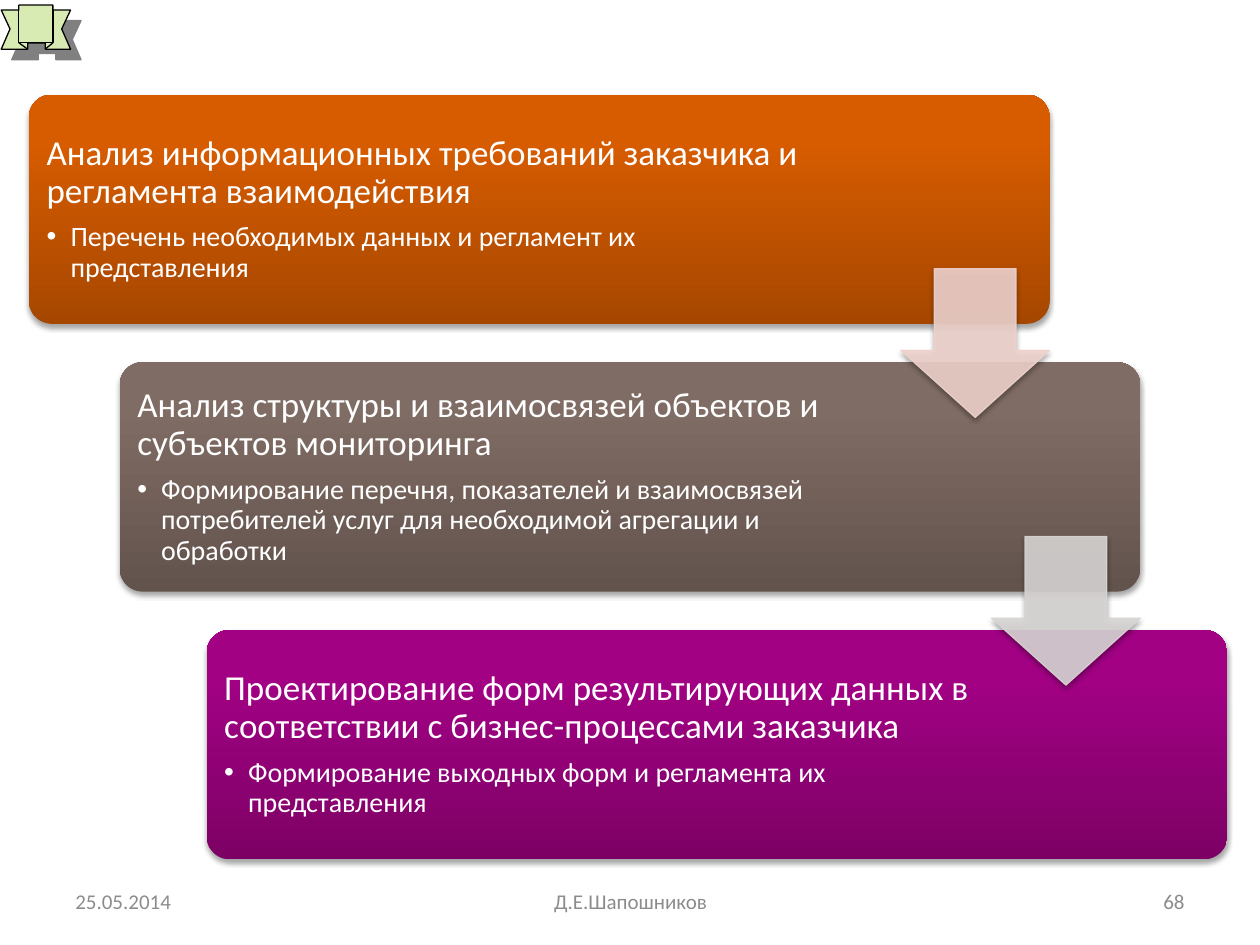
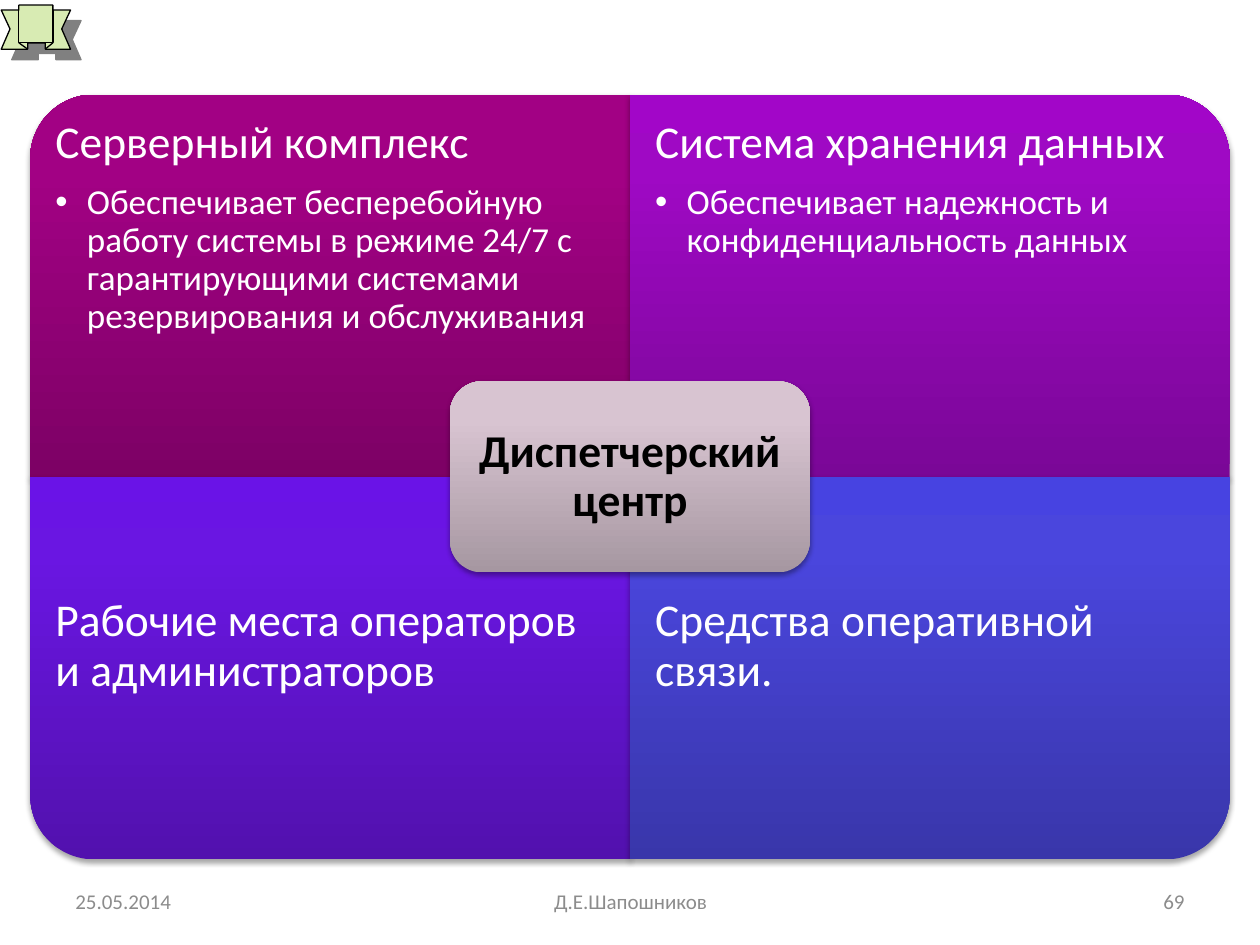
from lxml import etree
from pptx import Presentation
from pptx import util as u
from pptx.dml.color import RGBColor
from pptx.enum import shapes, text
from pptx.oxml.ns import qn

# ---- Content ----
DATE, AUTHOR, FIRST_NUMBER = "25.05.2014", "Д.Е.Шапошников", 68

STEPS = [  # left, heading, bullet, gradient
    (0.23, "Анализ информационных требований заказчика и регламента взаимодействия",
     "Перечень необходимых данных и регламент их представления", "orange"),
    (0.95, "Анализ структуры и взаимосвязей объектов и субъектов мониторинга",
     "Формирование перечня, показателей и взаимосвязей потребителей услуг "
     "для необходимой агрегации и обработки", "brown"),
    (1.64, "Проектирование форм результирующих данных в соответствии с "
     "бизнес-процессами заказчика",
     "Формирование выходных форм и регламента их представления", "magenta"),
]
STEP_ARROWS = ["arrow_pink", "arrow_grey"]

QUADRANTS = [  # column, row, rotation, gradient, heading, bullet
    (0, 0, 270, "magenta", "Серверный комплекс",
     "Обеспечивает бесперебойную работу системы в режиме 24/7 с "
     "гарантирующими системами резервирования и обслуживания"),
    (1, 0, 0, "purple", "Система хранения данных",
     "Обеспечивает надежность и конфиденциальность данных"),
    (0, 1, 180, "violet", "Рабочие места операторов и администраторов", None),
    (1, 1, 90, "blue", "Средства оперативной связи.", None),
]
HUB = "Диспетчерский центр"

# ---- Shared style ----
FONT = "Calibri"
COLORS = {"white": "FFFFFF", "black": "000000", "footer": "8C8C8C",
          "ribbon": "D8EBB3", "ribbon_shadow": "808080",
          "arrow_pink": "EED2CC", "arrow_grey": "D8D5D4"}
GRADIENTS = {  # bottom, near the top, top
    "orange": ("A64700", "D75C00", "D85D00"),
    "brown": ("62534D", "7F6C64", "806D63"),
    "magenta": ("7D0165", "A20184", "A40085"),
    "purple": ("7A0797", "9F09C4", "A206C8"),
    "violet": ("5211AE", "6A16E2", "6A13E7"),
    "blue": ("3936AA", "4A46DD", "4743E1"),
    "hub": ("A697A1", "D8C4D1", "D9C4D2"),
}
STOPS = (0, 80, 100)

# ---- Grid, in inches ----
WIDTH, HEIGHT = 10, 7.5
LEFT, TOP, AREA_WIDTH, AREA_HEIGHT = 0.24, 0.75, 9.52, 6.07
CARD_WIDTH, CARD_HEIGHT, CARD_INSET, CARD_TEXT_WIDTH = 8.1, 1.82, 0.06, 6.14
ARROW = 1.18
FOOTER_TOP, FOOTER_HEIGHT = 6.95, 0.4

# Corner ribbon, in hundredths of an inch
RIBBON = [(1, 39), (22, 39), (22, 34), (36, 34), (36, 39), (56, 39), (49, 23),
          (56, 8), (42, 8), (42, 4), (15, 4), (15, 8), (1, 8), (8, 23)]
RIBBON_FOLDS = [[(22, 34), (15, 34), (15, 8)], [(15, 34), (22, 39)],
                [(36, 34), (42, 34), (42, 8)], [(42, 34), (36, 39)]]


def rgb(name):
    return RGBColor.from_string(COLORS[name])


def add_child(parent, tag, **attributes):
    child = etree.SubElement(parent, qn(tag))
    for key, value in attributes.items():
        child.set(key, str(value))
    return child


def set_shadow(shape, color="black", alpha=35, blur=3.1, distance=1.8, angle=90):
    shape.shadow.inherit = False
    effects = shape._element.spPr.find(qn("a:effectLst"))
    outer = add_child(effects, "a:outerShdw", blurRad=u.Pt(blur), dist=u.Pt(distance),
                      dir=angle * 60000, algn="ctr", rotWithShape=0)
    tint = add_child(outer, "a:srgbClr", val=COLORS[color])
    add_child(tint, "a:alpha", val=alpha * 1000)


def set_gradient(shape, name):
    shape.fill.gradient()
    shape.fill.gradient_angle = 90
    gradient = shape._element.spPr.find(qn("a:gradFill"))
    gradient.set("rotWithShape", "0")
    stops = gradient.find(qn("a:gsLst"))
    for stop in list(stops):
        stops.remove(stop)
    for position, color in zip(STOPS, GRADIENTS[name]):
        stop = add_child(stops, "a:gs", pos=position * 1000)
        add_child(stop, "a:srgbClr", val=color)


def add_panel(page, kind, box, gradient=None):
    panel = page.shapes.add_shape(kind, *map(u.Inches, box))
    if gradient:
        set_gradient(panel, gradient)
        panel.line.fill.background()
    set_shadow(panel)
    return panel


def add_text(page, box, paragraphs, color="white", inset=None, align=None,
             anchor=text.MSO_ANCHOR.MIDDLE, bold=None, indent=0, spaced=True):
    """Each paragraph is (words, size, is_bullet)."""
    frame = page.shapes.add_textbox(*map(u.Inches, box)).text_frame
    frame.word_wrap = True
    frame.vertical_anchor = anchor
    if inset is not None:
        frame.margin_left = frame.margin_right = u.Inches(inset)
        frame.margin_top = frame.margin_bottom = u.Inches(inset)
    for index, (words, size, is_bullet) in enumerate(paragraphs):
        para = frame.add_paragraph() if index else frame.paragraphs[0]
        para.text = words
        if is_bullet:
            properties = para._p.get_or_add_pPr()
            properties.set("marL", str(u.Inches(indent)))
            properties.set("indent", str(-u.Inches(indent)))
            add_child(properties, "a:buFont", typeface="Arial")
            add_child(properties, "a:buChar", char="•")
            para.level = 1
        if spaced:
            para.line_spacing = 0.9
            para.space_after = u.Pt(size * (0.15 if is_bullet else 0.35))
        para.alignment = align
        font = para.runs[0].font
        font.name, font.size, font.bold = FONT, u.Pt(size), bold
        font.color.rgb = rgb(color)


def add_outline(page, contours, close):
    builder = page.shapes.build_freeform(*contours[0][0], scale=u.Inches(0.01))
    for index, points in enumerate(contours):
        if index:
            builder.move_to(*points[0])
        builder.add_line_segments(points[1:], close=close)
    outline = builder.convert_to_shape()
    outline.line.color.rgb = rgb("black")
    outline.line.width = u.Pt(0.75)
    outline.shadow.inherit = False
    return outline


def add_page(deck):
    page = deck.slides.add_slide(deck.slide_layouts[6])
    # Corner ribbon
    ribbon = add_outline(page, [RIBBON], close=True)
    ribbon.fill.solid()
    ribbon.fill.fore_color.rgb = rgb("ribbon")
    set_shadow(ribbon, "ribbon_shadow", 100, 0, 8.5, 45)
    add_outline(page, RIBBON_FOLDS, close=False).fill.background()
    # Footer
    number = FIRST_NUMBER + len(deck.slides) - 1
    for left, width, words, align in (
            (0.5, 2.33, DATE, text.PP_ALIGN.LEFT),
            (3.42, 3.17, AUTHOR, text.PP_ALIGN.CENTER),
            (7.17, 2.33, str(number), text.PP_ALIGN.RIGHT)):
        add_text(page, (left, FOOTER_TOP, width, FOOTER_HEIGHT),
                 [(words, 12, False)], "footer", align=align, spaced=False)
    return page


def build_steps(deck):
    page = add_page(deck)
    step_y = (AREA_HEIGHT - CARD_HEIGHT) / (len(STEPS) - 1)
    # Staircase of cards
    for index, (left, heading, bullet, gradient) in enumerate(STEPS):
        top = TOP + index * step_y
        card = add_panel(page, shapes.MSO_SHAPE.ROUNDED_RECTANGLE,
                         (left, top, CARD_WIDTH, CARD_HEIGHT), gradient)
        card.adjustments[0] = 0.1
        add_text(page, (left + CARD_INSET, top + CARD_INSET, CARD_TEXT_WIDTH,
                        CARD_HEIGHT - 2 * CARD_INSET),
                 [(heading, 20, False), (bullet, 16, True)], inset=0.08, indent=0.19)
    # Arrows centred on the gaps, flush with the upper card's right edge
    for index, color in enumerate(STEP_ARROWS):
        left = STEPS[index][0] + CARD_WIDTH - ARROW
        top = TOP + index * step_y + (CARD_HEIGHT + step_y - ARROW) / 2
        arrow = add_panel(page, shapes.MSO_SHAPE.DOWN_ARROW, (left, top, ARROW, ARROW))
        arrow.adjustments[0], arrow.adjustments[1] = 0.55, 0.45
        arrow.fill.solid()
        arrow.fill.fore_color.rgb = arrow.line.color.rgb = rgb(color)
        arrow.line.width = u.Pt(0.75)
        for tint in arrow._element.spPr.iterfind(".//" + qn("a:solidFill") + "/*"):
            add_child(tint, "a:alpha", val=90000)


def build_matrix(deck):
    page = add_page(deck)
    width, height = AREA_WIDTH / 2, AREA_HEIGHT / 2
    text_height = height * 0.75
    # Quadrants, each turned so that its round corner points outwards
    for column, row, rotation, gradient, heading, bullet in QUADRANTS:
        left, top = LEFT + column * width, TOP + row * height
        sides = (height, width) if rotation % 180 else (width, height)
        corner = (left + (width - sides[0]) / 2, top + (height - sides[1]) / 2)
        panel = add_panel(page, shapes.MSO_SHAPE.ROUND_1_RECTANGLE,
                          corner + sides, gradient)
        panel.rotation = rotation
        paragraphs = [(heading, 26, False)] + ([(bullet, 20, True)] if bullet else [])
        add_text(page, (left, top + row * (height - text_height), width, text_height),
                 paragraphs, inset=0.2, indent=0.25, anchor=text.MSO_ANCHOR.TOP)
    # Hub in the middle
    hub_width, hub_height, pad = AREA_WIDTH * 0.3, AREA_HEIGHT * 0.25, 0.07
    left = LEFT + width - hub_width / 2
    top = TOP + height - hub_height / 2
    add_panel(page, shapes.MSO_SHAPE.ROUNDED_RECTANGLE,
              (left, top, hub_width, hub_height), "hub")
    add_text(page, (left + pad, top + pad, hub_width - 2 * pad, hub_height - 2 * pad),
             [(HUB, 26, False)], "black", inset=0.11,
             align=text.PP_ALIGN.CENTER, bold=True)


def main():
    deck = Presentation()
    deck.slide_width, deck.slide_height = u.Inches(WIDTH), u.Inches(HEIGHT)
    build_steps(deck)
    build_matrix(deck)
    deck.save("out.pptx")


if __name__ == "__main__":
    main()
